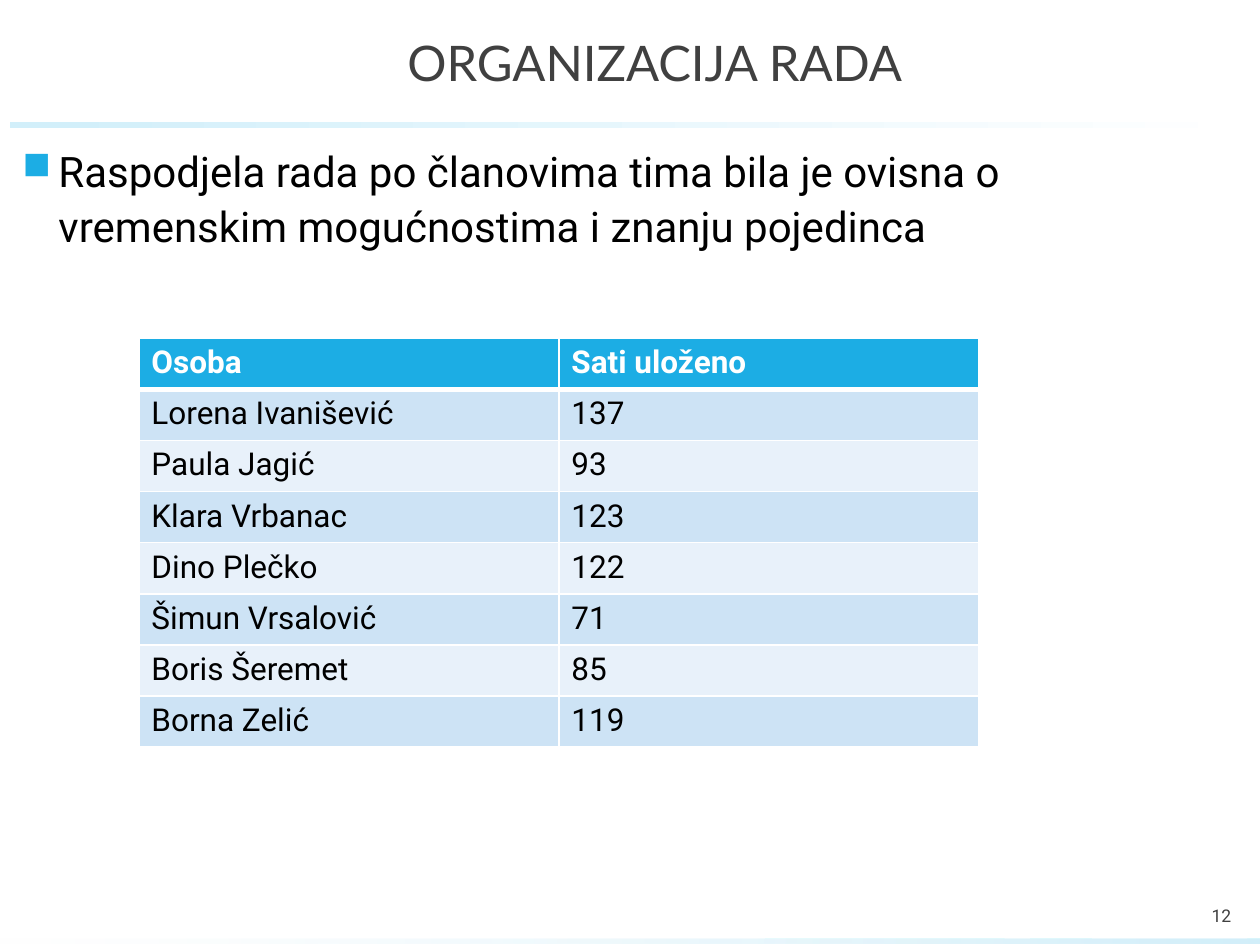
from lxml import etree
from pptx import Presentation
from pptx.dml.color import RGBColor
from pptx.enum.shapes import MSO_SHAPE
from pptx.enum.text import MSO_ANCHOR, PP_ALIGN
from pptx.oxml.ns import qn
from pptx.util import Cm, Pt

RECTANGLE = MSO_SHAPE.RECTANGLE
TOP, MIDDLE = MSO_ANCHOR.TOP, MSO_ANCHOR.MIDDLE
LEFT, CENTER, RIGHT = PP_ALIGN.LEFT, PP_ALIGN.CENTER, PP_ALIGN.RIGHT

COLORS = {
    "accent": "1CADE4",
    "pale": "D2EFFA",
    "band_dark": "CDE3F5",
    "band_light": "E8F1FA",
    "white": "FFFFFF",
    "black": "000000",
    "gray": "404040",
}

HOURS = [
    ("Osoba", "Sati uloženo"),
    ("Lorena Ivanišević", "137"),
    ("Paula Jagić", "93"),
    ("Klara Vrbanac", "123"),
    ("Dino Plečko", "122"),
    ("Šimun Vrsalović", "71"),
    ("Boris Šeremet", "85"),
    ("Borna Zelić", "119"),
]


def rgb(name):
    """Return the named colour."""
    return RGBColor.from_string(COLORS[name])


def style_font(paragraph, size, color, name="Roboto", bold=False):
    """Set the font of a whole paragraph."""
    font = paragraph.font
    font.name, font.size, font.bold = name, Pt(size), bold
    font.color.rgb = rgb(color)


def add_bar(slide, left, top, width, height, start, end, opacity=100):
    """Add a thin bar that fades from one colour to another."""
    bar = slide.shapes.add_shape(RECTANGLE, Cm(left), Cm(top), Cm(width), Cm(height))
    bar.shadow.inherit = False
    bar.line.fill.background()
    bar.fill.gradient()
    bar.fill.gradient_angle = 0
    first, last = bar.fill.gradient_stops
    first.position, last.position = 0.03, 1
    first.color.rgb, last.color.rgb = rgb(start), rgb(end)
    if opacity < 100:
        color = bar._element.spPr.find(".//" + qn("a:srgbClr"))
        etree.SubElement(color, qn("a:alpha"), val=str(opacity * 1000))


def add_text(slide, left, top, width, height, text, align=LEFT, anchor=TOP):
    """Add a wrapping text box and return its paragraph."""
    box = slide.shapes.add_textbox(Cm(left), Cm(top), Cm(width), Cm(height))
    frame = box.text_frame
    frame.word_wrap = True
    frame.vertical_anchor = anchor
    para = frame.paragraphs[0]
    para.text, para.alignment = text, align
    return para


def add_bullet(paragraph, symbol, color, percent, indent):
    """Give a paragraph a coloured bullet with a hanging indent."""
    properties = paragraph._p.get_or_add_pPr()
    properties.set("marL", str(indent))
    properties.set("indent", str(-indent))
    bullet_color = etree.SubElement(properties, qn("a:buClr"))
    etree.SubElement(bullet_color, qn("a:srgbClr"), val=COLORS[color])
    etree.SubElement(properties, qn("a:buSzPct"), val=str(percent * 1000))
    etree.SubElement(properties, qn("a:buChar"), char=symbol)


def set_borders(cell, top, bottom):
    """Draw white cell borders, with top and bottom widths in points."""
    properties = cell._tc.get_or_add_tcPr()
    for side, width in (("L", 1), ("R", 1), ("T", top), ("B", bottom)):
        line = etree.SubElement(properties, qn(f"a:ln{side}"), w=str(Pt(width)))
        fill = etree.SubElement(line, qn("a:solidFill"))
        etree.SubElement(fill, qn("a:srgbClr"), val=COLORS["white"])


def add_hours_table(slide, left, top, width, row_height):
    """Add the banded table of hours per person."""
    table = slide.shapes.add_table(
        len(HOURS), len(HOURS[0]), Cm(left), Cm(top),
        Cm(width), Cm(row_height * len(HOURS)),
    ).table
    for index, values in enumerate(HOURS):
        header = index == 0
        band = "accent" if header else "band_dark" if index % 2 else "band_light"
        for cell, value in zip(table.rows[index].cells, values):
            set_borders(cell, 3 if index == 1 else 1, 3 if header else 1)
            cell.fill.solid()
            cell.fill.fore_color.rgb = rgb(band)
            cell.text = value
            style_font(cell.text_frame.paragraphs[0], 18,
                       "white" if header else "black", bold=header)


def main():
    """Build the work organisation slide."""
    deck = Presentation()
    deck.slide_width, deck.slide_height = Cm(25.4), Cm(19.05)
    slide = deck.slides.add_slide(deck.slide_layouts[6])

    add_bar(slide, 0.2, 2.46, 25, 0.13, "pale", "white")
    add_bar(slide, 0, 18.92, 25.4, 0.1, "white", "pale", opacity=56)

    title = add_text(slide, 2.2, 0.1, 22, 2.3, "ORGANIZACIJA RADA", CENTER, MIDDLE)
    style_font(title, 28, "gray", name="Lato")

    body = add_text(
        slide, 0.2, 2.7, 25, 15,
        "Raspodjela rada po članovima tima bila je ovisna o "
        "vremenskim mogućnostima i znanju pojedinca",
    )
    body.line_spacing = 1.1
    body.space_before, body.space_after = Pt(5), Pt(3)
    add_bullet(body, "■", "accent", 92, Cm(0.73))
    style_font(body, 24, "black")

    number = add_text(slide, 23.75, 18.05, 1.32, 0.8, "12", RIGHT, MIDDLE)
    style_font(number, 10, "gray")

    add_hours_table(slide, 2.8, 6.82, 16.93, 1.03)
    deck.save("out.pptx")


if __name__ == "__main__":
    main()
